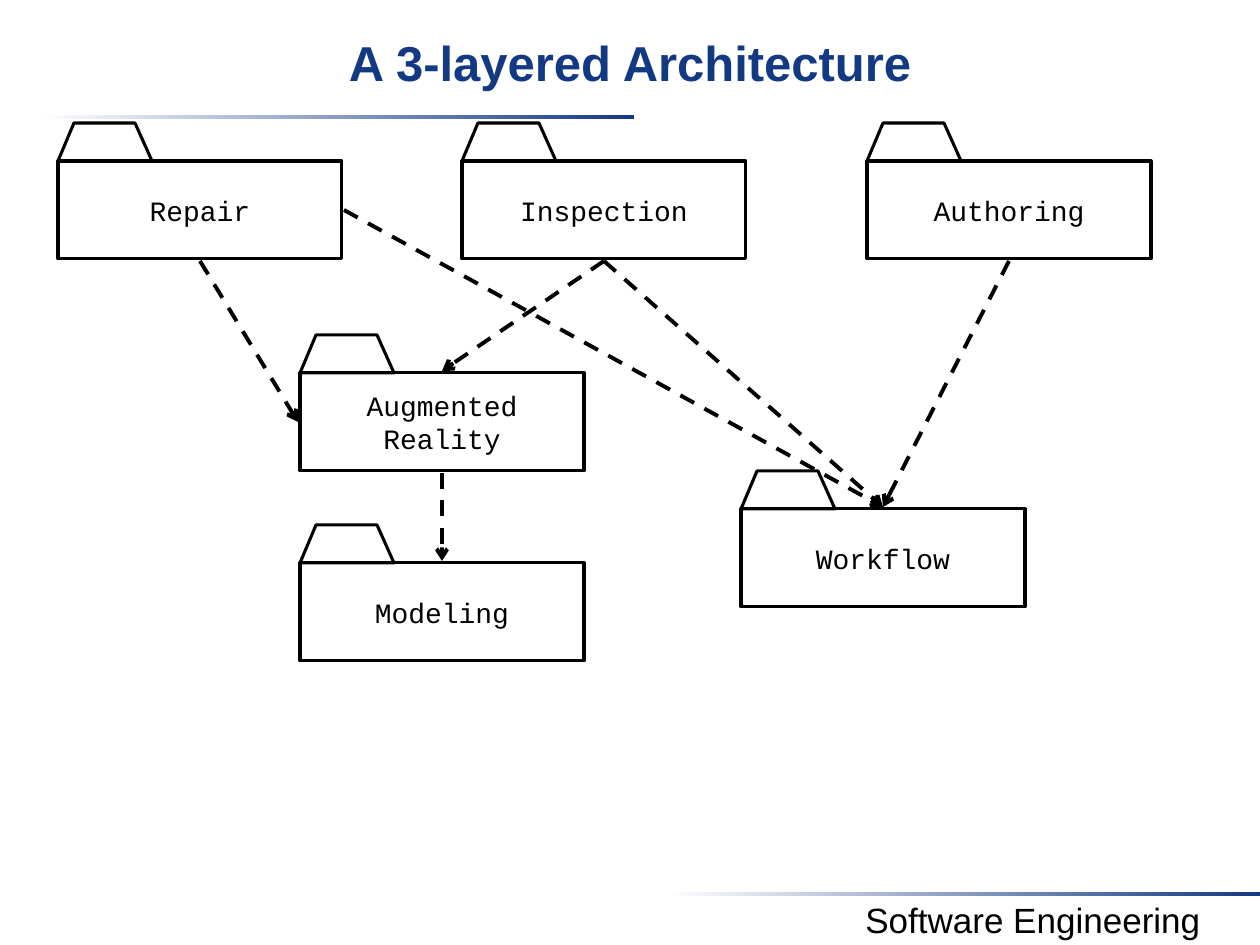
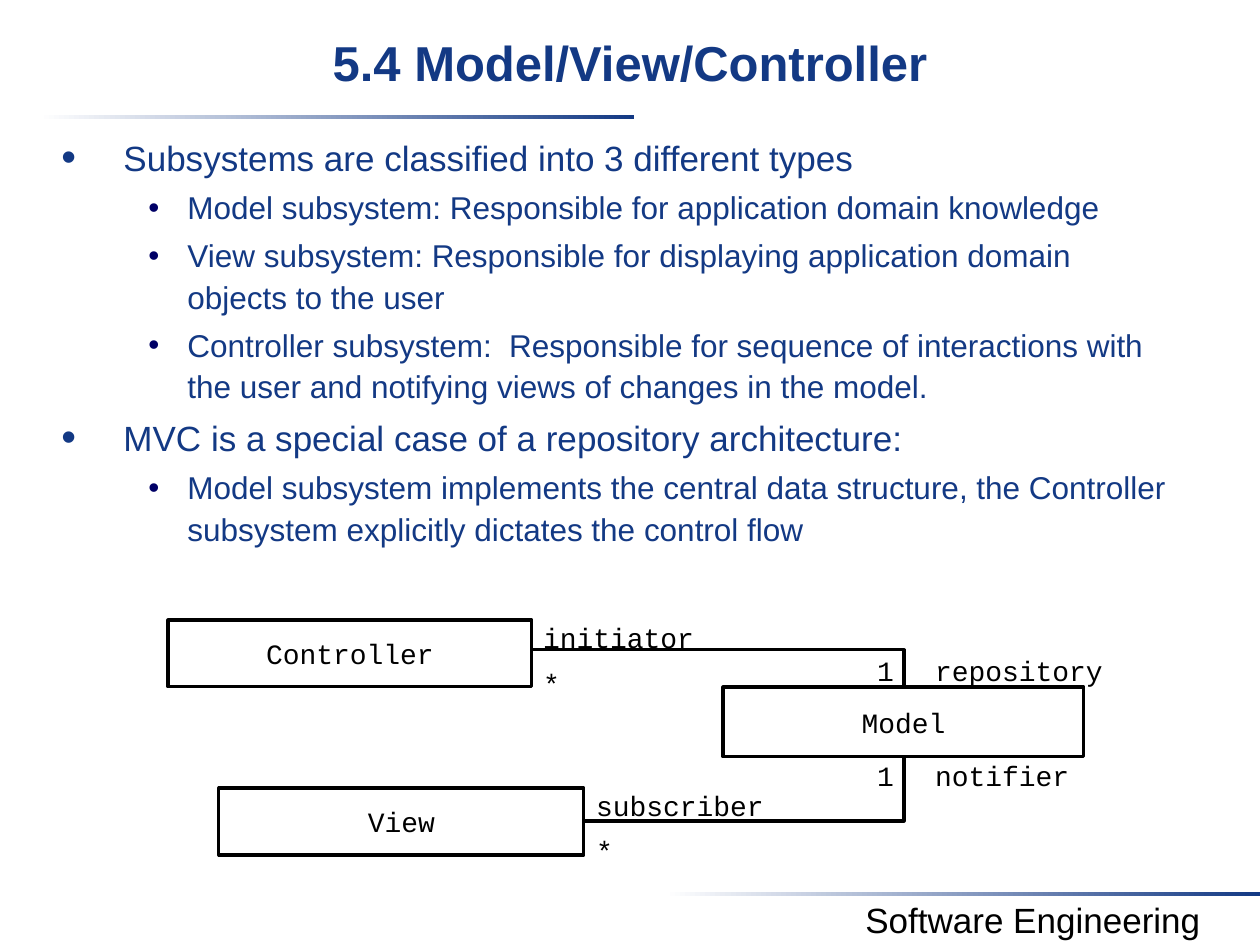
from lxml import etree
from pptx import Presentation, util as u
from pptx.dml.color import RGBColor
from pptx.enum import dml, shapes, text
from pptx.oxml.ns import qn

EMU_PER_PX = 914400 / 126
COLOURS = {"navy": "133984", "bullet": "000066", "ink": "000000", "paper": "FFFFFF"}
SANS, MONO = "Arial", "Courier New"
NO_MARGINS = dict.fromkeys(("margin_left", "margin_top", "margin_right", "margin_bottom"), 0)

PACKAGE_W, PACKAGE_H = 284, 98
TAB_H = 38
TAB_OUTLINE = [(16, -TAB_H), (77, -TAB_H), (94, 0)]
ARROW_GAP = 2
PACKAGES = {
    "Repair": (58, 161),
    "Inspection": (462, 161),
    "Authoring": (867, 161),
    "Augmented\nReality": (300, 373),
    "Workflow": (741, 509),
    "Modeling": (300, 563),
}
DEPENDENCIES = [
    ("Repair", "bottom", "Augmented\nReality", "left"),
    ("Inspection", "bottom", "Augmented\nReality", "top"),
    ("Augmented\nReality", "bottom", "Modeling", "top"),
    ("Authoring", "bottom", "Workflow", "top"),
    ("Inspection", "bottom", "Workflow", "top"),
    ("Repair", "right", "Workflow", "top"),
]

BULLETS = [
    (0, "Subsystems are classified into 3 different types"),
    (1, "Model subsystem: Responsible for application domain knowledge"),
    (1, "View subsystem: Responsible for displaying application domain "
        "objects to the user"),
    (1, "Controller subsystem:  Responsible for sequence of interactions with "
        "the user and notifying views of changes in the model."),
    (0, "MVC is a special case of a repository architecture:"),
    (1, "Model subsystem implements the central data structure, the Controller "
        "subsystem explicitly dictates the control flow"),
]
BULLET_LEVELS = [
    {"size": 20, "left": 62, "hang": 62, "colour": "navy", "percent": 120},
    {"size": 18, "left": 126, "hang": 39, "colour": "bullet", "percent": 100},
]

SUBSYSTEMS = {
    "Controller": (168, 620, 364, 67),
    "Model": (723, 687, 361, 70),
    "View": (219, 788, 365, 67),
}
ASSOCIATIONS = [
    [(528, 650), (904, 650), (904, 687)],
    [(581, 821), (904, 821), (904, 754)],
]
MONO_CHAR_W = 16.8
ROLE_LABELS = [
    ("initiator", 543, 621), ("*", 543, 667),
    ("subscriber", 596, 789), ("*", 596, 834),
    ("1", 877, 654), ("repository", 935, 654),
    ("1", 877, 759), ("notifier", 935, 759),
]


def px(length):
    return u.Emu(round(length * EMU_PER_PX))


def rgb(name):
    return RGBColor.from_string(COLOURS[name])


def set_all(target, values):
    for name, value in values.items():
        setattr(target, name, value)


def format_text(frame, size, font=SANS, colour="ink", bold=False,
                align=text.PP_ALIGN.CENTER):
    for paragraph in frame.paragraphs:
        paragraph.alignment = align
        for run in paragraph.runs:
            set_all(run.font, {"size": u.Pt(size), "name": font, "bold": bold})
            run.font.color.rgb = rgb(colour)


def outline(shape, fill=None):
    """Give a shape the black diagram line and a plain fill or none."""
    shape.shadow.inherit = False
    shape.line.color.rgb = rgb("ink")
    shape.line.width = u.Pt(1.75)
    if fill:
        shape.fill.solid()
        shape.fill.fore_color.rgb = rgb(fill)
    else:
        shape.fill.background()


def add_text(slide, words, left, top, width, height):
    box = slide.shapes.add_textbox(px(left), px(top), px(width), px(height))
    box.text_frame.word_wrap = True
    box.text_frame.text = words
    return box.text_frame


def add_band(slide, left, top):
    """Add a thin bar that fades in from white."""
    band = slide.shapes.add_shape(shapes.MSO_SHAPE.RECTANGLE,
                                  px(left), px(top), px(595), px(4))
    band.shadow.inherit = False
    band.line.fill.background()
    band.fill.gradient()
    band.fill.gradient_angle = 0
    for stop, colour in zip(band.fill.gradient_stops, ("paper", "navy")):
        stop.color.rgb = rgb(colour)


def add_titled_slide(deck, heading):
    slide = deck.slides.add_slide(deck.slide_layouts[5])
    add_band(slide, 39, 115)
    add_band(slide, 665, 892)
    format_text(add_text(slide, "Software Engineering", 806, 892, 454, 55), 20)

    title = slide.shapes.title
    set_all(title, {"left": 0, "top": px(25), "width": px(1260), "height": px(95)})
    title.text_frame.text = heading
    set_all(title.text_frame, {
        "margin_top": px(8), "margin_bottom": px(6), "word_wrap": True,
        "vertical_anchor": text.MSO_ANCHOR.TOP,
        "auto_size": text.MSO_AUTO_SIZE.NONE,
    })
    format_text(title.text_frame, 28, colour="navy", bold=True)
    return slide


def add_labelled_box(parent, label, left, top, width, height, fill=None):
    box = parent.shapes.add_shape(shapes.MSO_SHAPE.RECTANGLE,
                                  px(left), px(top), px(width), px(height))
    outline(box, fill)
    box.text_frame.text = label
    box.text_frame.vertical_anchor = text.MSO_ANCHOR.MIDDLE
    format_text(box.text_frame, 16, MONO)


def add_outline(parent, points, closed):
    builder = parent.shapes.build_freeform(*points[0], scale=EMU_PER_PX)
    builder.add_line_segments(points[1:], close=closed)
    outline(builder.convert_to_shape())


def add_package(slide, label, left, top):
    """Add a UML package: a labelled box with a tab, grouped."""
    package = slide.shapes.add_group_shape()
    add_labelled_box(package, label, left, top, PACKAGE_W, PACKAGE_H)
    tab = [(left, top)] + [(left + dx, top + dy) for dx, dy in TAB_OUTLINE]
    add_outline(package, tab, closed=True)


def package_side(name, side):
    """Return the point just outside the middle of a package's side."""
    left, top = PACKAGES[name]
    dx, dy = {
        "top": (PACKAGE_W / 2, -ARROW_GAP),
        "bottom": (PACKAGE_W / 2, PACKAGE_H + ARROW_GAP),
        "left": (-ARROW_GAP, PACKAGE_H / 2),
        "right": (PACKAGE_W + ARROW_GAP, PACKAGE_H / 2),
    }[side]
    return px(left + dx), px(top + dy)


def add_dependency(slide, source, source_side, target, target_side):
    arrow = slide.shapes.add_connector(
        shapes.MSO_CONNECTOR.STRAIGHT,
        *package_side(source, source_side), *package_side(target, target_side))
    arrow.line.color.rgb = rgb("ink")
    set_all(arrow.line, {"width": u.Pt(2.25), "dash_style": dml.MSO_LINE.DASH})
    properties = arrow.element.spPr
    etree.SubElement(properties.find(qn("a:ln")), qn("a:tailEnd"), type="arrow")
    etree.SubElement(properties, qn("a:effectLst"))


def format_bullet(paragraph, level):
    style = BULLET_LEVELS[level]
    set_all(paragraph, {"level": level, "line_spacing": 1.1})
    properties = paragraph._p.get_or_add_pPr()
    properties.set("marL", str(px(style["left"])))
    properties.set("indent", str(px(-style["hang"])))
    before = etree.SubElement(properties, qn("a:spcBef"))
    etree.SubElement(before, qn("a:spcPct"), val="20000")
    colour = etree.SubElement(properties, qn("a:buClr"))
    etree.SubElement(colour, qn("a:srgbClr"), val=COLOURS[style["colour"]])
    etree.SubElement(properties, qn("a:buSzPct"), val=str(style["percent"] * 1000))
    etree.SubElement(properties, qn("a:buFont"), typeface=SANS)
    etree.SubElement(properties, qn("a:buChar"), char="•")
    for run in paragraph.runs:
        set_all(run.font, {"size": u.Pt(style["size"]), "name": SANS})
        run.font.color.rgb = rgb("navy")


def add_bullets(slide):
    frame = add_text(slide, "\n".join(words for _, words in BULLETS),
                     49, 126, 1138, 465)
    for paragraph, (level, _) in zip(frame.paragraphs, BULLETS):
        format_bullet(paragraph, level)


def add_role_label(slide, label, left, top):
    frame = add_text(slide, label, left, top, MONO_CHAR_W * len(label), 34)
    set_all(frame, {**NO_MARGINS, "word_wrap": False})
    format_text(frame, 16, MONO)


def build_architecture(deck):
    slide = add_titled_slide(deck, "A 3-layered Architecture")
    for label, corner in PACKAGES.items():
        add_package(slide, label, *corner)
    for dependency in DEPENDENCIES:
        add_dependency(slide, *dependency)


def build_model_view_controller(deck):
    slide = add_titled_slide(deck, "5.4 Model/View/Controller")
    add_bullets(slide)
    for points in ASSOCIATIONS:
        add_outline(slide, points, closed=False)
    for label, bounds in SUBSYSTEMS.items():
        add_labelled_box(slide, label, *bounds, fill="paper")
    for role in ROLE_LABELS:
        add_role_label(slide, *role)


def main():
    deck = Presentation()
    set_all(deck, {"slide_width": px(1260), "slide_height": px(945)})
    build_architecture(deck)
    build_model_view_controller(deck)
    deck.save("out.pptx")


if __name__ == "__main__":
    main()
